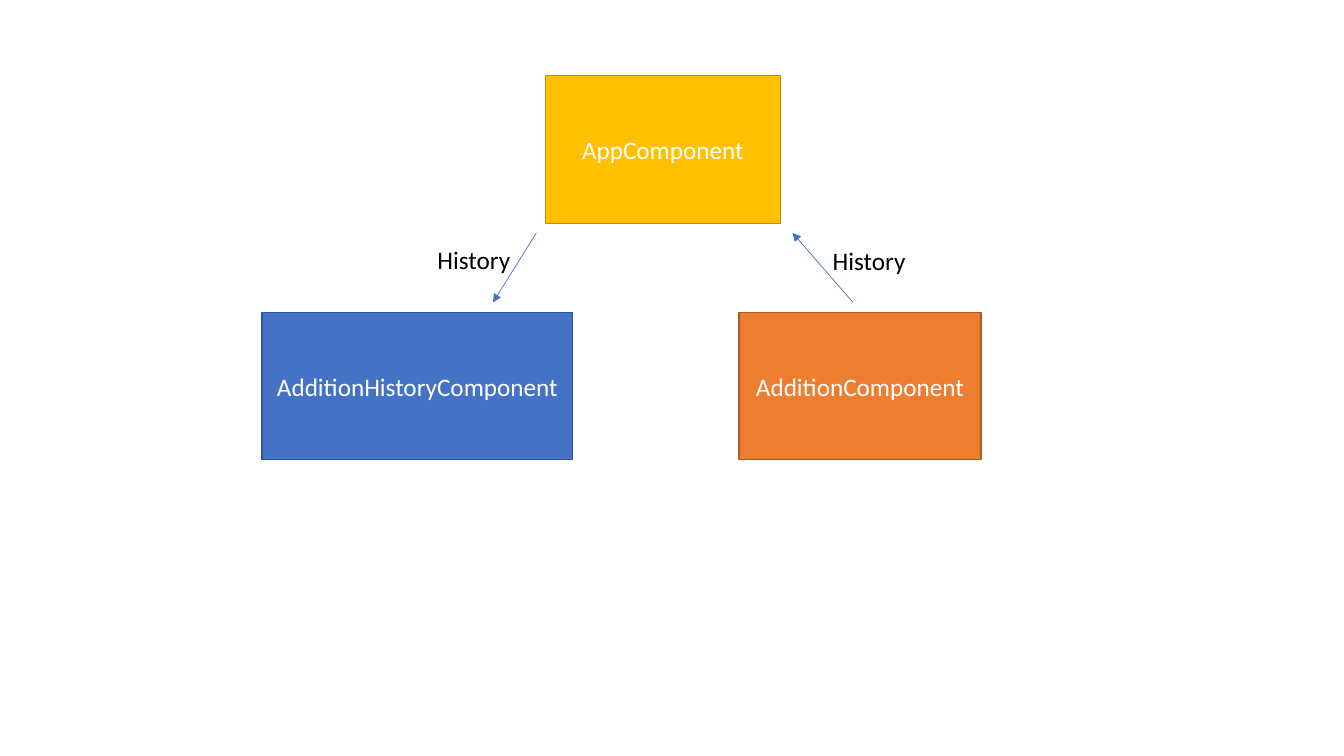
import pptx
import pptx.util
import pptx.dml.color
import pptx.enum.shapes
import pptx.enum.text
import pptx.oxml
import pptx.oxml.ns
from lxml import etree

Inches, Pt = pptx.util.Inches, pptx.util.Pt
RGB = pptx.dml.color.RGBColor.from_string
ALIGN = pptx.enum.text.PP_ALIGN
ANCHOR = pptx.enum.text.MSO_ANCHOR

COMPONENTS = [
    ("AppComponent", (5.41, 0.75, 2.33, 1.47), "app"),
    ("AdditionHistoryComponent", (2.6, 3.1, 3.08, 1.46), "history"),
    ("AdditionComponent", (7.33, 3.1, 2.4, 1.46), "addition"),
]
FLOWS = [
    ("History", (8.46, 3, 7.86, 2.31), (8.16, 2.38)),
    ("History", (5.32, 2.31, 4.89, 3), (4.24, 2.37)),
]
LABEL_SIZE = (0.98, 0.4)

THEME = {
    "font": "Calibri", "size": 18, "on_fill": "FFFFFF", "label": "000000",
    "app": ("FFC000", "BD8E00"),
    "history": ("4472C4", "325491"),
    "addition": ("ED7D31", "AF5C24"),
    "arrow": "4472C4", "border_width": 1, "arrow_width": 0.5,
}


def write(shape, text, color, align, anchor, wrap):
    tf = shape.text_frame
    tf.text = text
    tf.word_wrap = wrap
    tf.vertical_anchor = anchor
    p = tf.paragraphs[0]
    p.alignment = align
    font = p.runs[0].font
    font.name, font.size = THEME["font"], Pt(THEME["size"])
    font.color.rgb = RGB(color)


def add_component(s, name, box, role):
    sp = s.shapes.add_shape(pptx.enum.shapes.MSO_SHAPE.RECTANGLE, *map(Inches, box))
    sp.shadow.inherit = False
    fill, border = THEME[role]
    sp.fill.solid()
    sp.fill.fore_color.rgb = RGB(fill)
    sp.line.color.rgb = RGB(border)
    sp.line.width = Pt(THEME["border_width"])
    write(sp, name, THEME["on_fill"], ALIGN.CENTER, ANCHOR.MIDDLE, True)


def add_flow(s, label, ends, corner):
    arrow = s.shapes.add_connector(
        pptx.enum.shapes.MSO_CONNECTOR.STRAIGHT, *map(Inches, ends))
    arrow.line.color.rgb = RGB(THEME["arrow"])
    arrow.line.width = Pt(THEME["arrow_width"])
    qn = pptx.oxml.ns.qn
    spPr = arrow.element.spPr
    etree.SubElement(spPr.find(qn("a:ln")), qn("a:tailEnd"), type="triangle")
    etree.SubElement(spPr, qn("a:effectLst"))

    tb = s.shapes.add_textbox(*map(Inches, corner + LABEL_SIZE))
    write(tb, label, THEME["label"], ALIGN.LEFT, ANCHOR.TOP, True)
    tb.text_frame.auto_size = pptx.enum.text.MSO_AUTO_SIZE.SHAPE_TO_FIT_TEXT


prs = pptx.Presentation()
prs.slide_width, prs.slide_height = Inches(13.33), Inches(7.5)
s = prs.slides.add_slide(prs.slide_layouts[6])
for component in COMPONENTS:
    add_component(s, *component)
for flow in FLOWS:
    add_flow(s, *flow)
prs.save("out.pptx")
